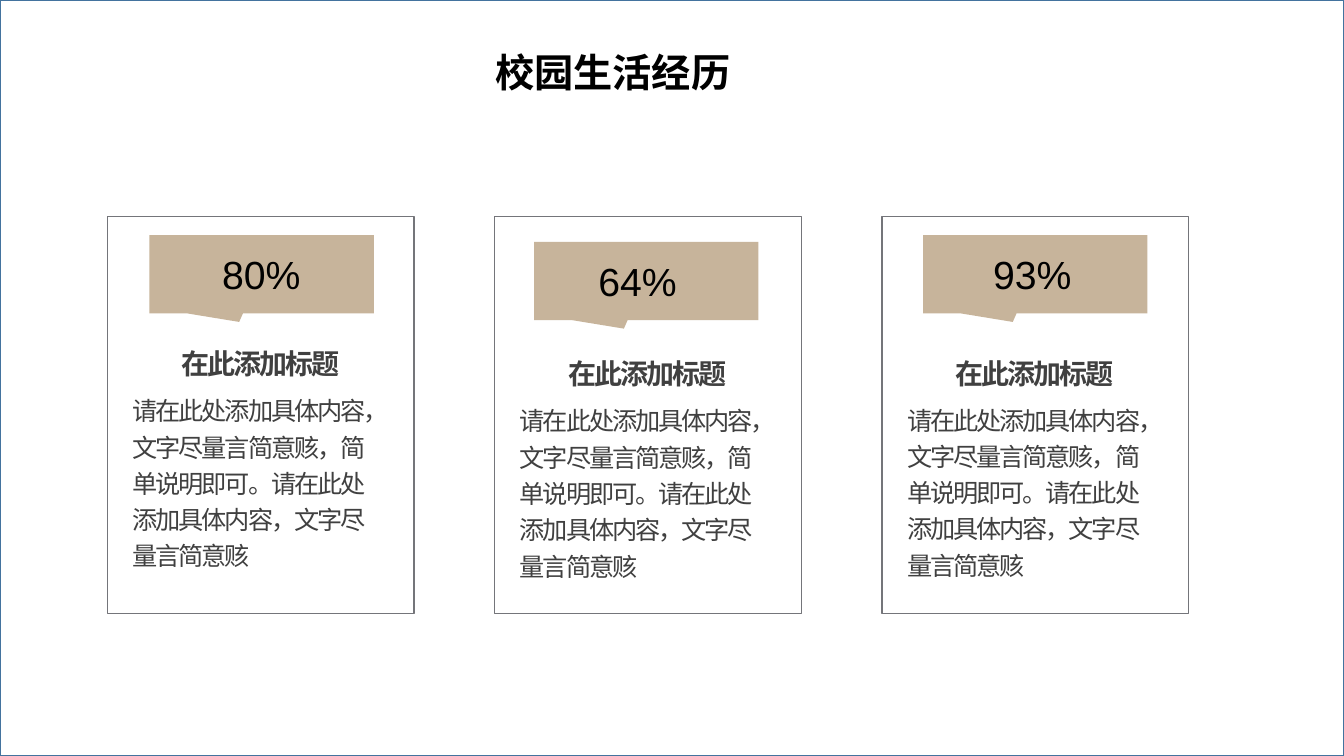
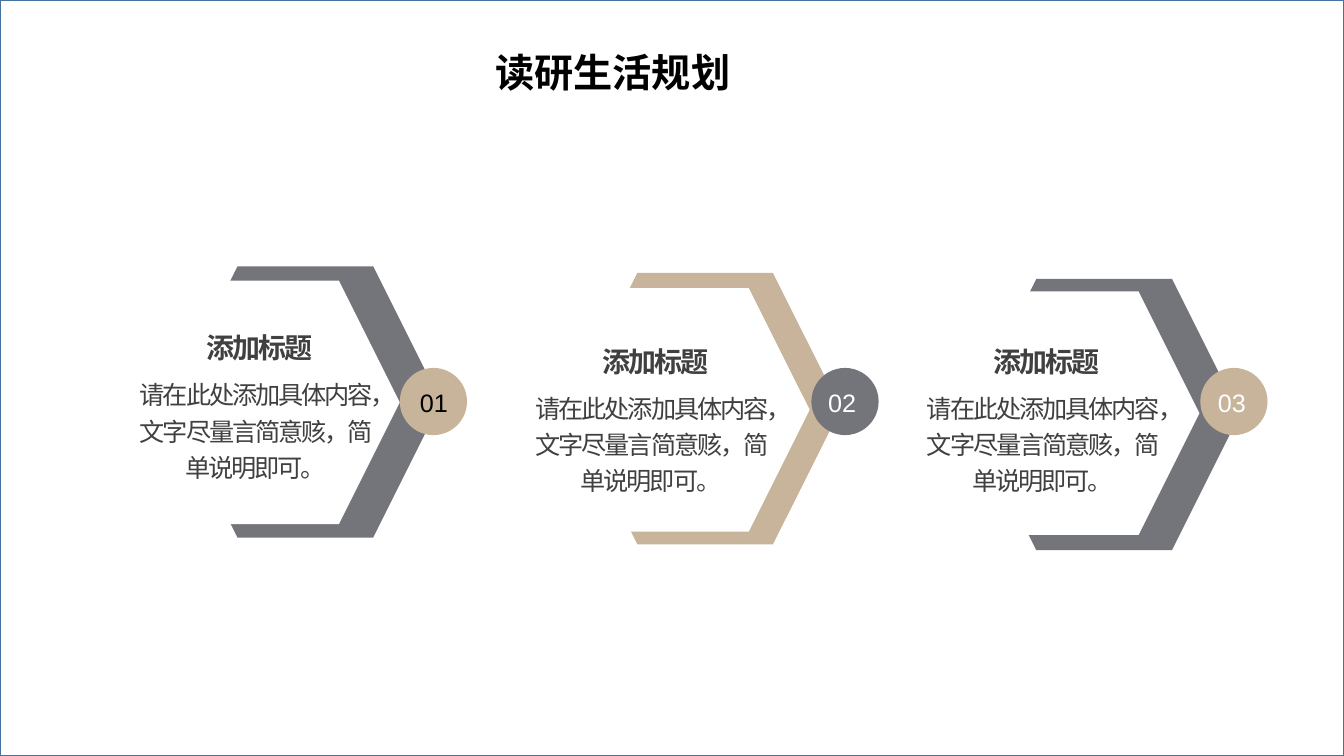
from lxml import etree
from pptx import Presentation
from pptx import util as u
from pptx.dml.color import RGBColor
from pptx.enum import shapes, text
from pptx.oxml import ns

WHITE = RGBColor(0xFF, 0xFF, 0xFF)
BLACK = RGBColor(0, 0, 0)
TEXT_GREY = RGBColor(0x40, 0x40, 0x40)
GREY = RGBColor(0x74, 0x75, 0x7A)
TAN = RGBColor(0xC7, 0xB4, 0x9B)
FRAME_BLUE = RGBColor(0x43, 0x73, 0x9E)

COLUMNS, ROWS = 160, 90
CELL = u.Inches(1) / 12
SHAPE = shapes.MSO_SHAPE
CENTER = {"alignment": text.PP_ALIGN.CENTER}

TITLE = {"size": u.Pt(28), "bold": True}
PERCENT = {"size": u.Pt(28)}
HEADING = {"size": u.Pt(20), "bold": True}
BODY = {"size": u.Pt(18)}

SHORT_TEXT = "请在此处添加具体内容，文字尽量言简意赅，简单说明即可。"
LONG_TEXT = SHORT_TEXT + "请在此处添加具体内容，文字尽量言简意赅"


class Deck:
    """Draw styled elements on the current slide, measured in grid columns and rows."""

    def __init__(self):
        self.presentation = Presentation()
        self.presentation.slide_width = round(COLUMNS * CELL)
        self.presentation.slide_height = round(ROWS * CELL)
        self.layout = self.presentation.slide_layouts[6]
        self.slide = None

    def page(self, title):
        first = self.slide is None
        self.slide = self.presentation.slides.add_slide(self.layout)
        if first:
            self.shared_frame()
        self.label(title, (57.8, 5.2, 30.8, 6.8), TITLE, wrap=False)

    def shared_frame(self):
        frame = self.shape(SHAPE.RECTANGLE, (0, 0, COLUMNS, ROWS), WHITE, FRAME_BLUE)
        color = frame.element.spPr.find(ns.qn("a:solidFill")).find(ns.qn("a:srgbClr"))
        etree.SubElement(color, ns.qn("a:alpha"), val="65000")
        self.layout.slide_master.element.cSld.spTree.insert(2, frame.element)

    def shape(self, kind, box, fill=None, line=None, adjustments=()):
        shape = self.slide.shapes.add_shape(kind, *(round(n * CELL) for n in box))
        shape.shadow.inherit = False
        for index, value in enumerate(adjustments):
            shape.adjustments[index] = value
        if fill is None:
            shape.fill.background()
        else:
            shape.fill.solid()
            shape.fill.fore_color.rgb = fill
        if line is None:
            shape.line.fill.background()
        else:
            shape.line.color.rgb = line
            shape.line.width = u.Pt(1)
        return shape

    def label(self, content, box, font, color=BLACK, layout=None, wrap=True, spacing=0):
        shape = self.slide.shapes.add_textbox(*(round(n * CELL) for n in box))
        frame = shape.text_frame
        frame.word_wrap = wrap
        frame.auto_size = text.MSO_AUTO_SIZE.SHAPE_TO_FIT_TEXT
        paragraph = frame.paragraphs[0]
        for name, value in (layout or {}).items():
            setattr(paragraph, name, value)
        run = paragraph.add_run()
        run.text = content
        for name, value in {"name": "Arial", **font}.items():
            setattr(run.font, name, value)
        run.font.color.rgb = color
        if spacing:
            run.font._element.set("spc", str(round(spacing * 100)))

    def entry(self, heading, body, left, top, height, layout=None):
        self.label(body, (left, top, 31.8, height), BODY, TEXT_GREY,
                   {"line_spacing": 1.2, **(layout or {})}, spacing=-1.5)
        self.label(heading, (left + 1.1, top - 7.1, 30.6, 6.6), HEADING, TEXT_GREY,
                   {"line_spacing": 1.5, **CENTER}, spacing=-1.5)

    def card(self, left):
        self.shape(SHAPE.ROUNDED_RECTANGLE, (left, 25.8, 36.5, 47.2), line=GREY,
                   adjustments=(0,))

    def callout(self, percent, left, top, percent_left):
        self.shape(SHAPE.RECTANGULAR_CALLOUT, (left, top, 26.7, 9.3), TAN,
                   adjustments=(-0.1, 0.61))
        self.label(percent, (percent_left, top + 1.2, 20, 6.8), PERCENT, layout=CENTER)

    def chevron(self, outer, inner, color):
        self.shape(SHAPE.HEXAGON, (*outer, 32.3, 32.3), color)
        self.shape(SHAPE.HEXAGON, (*inner, 29, 29), WHITE)

    def badge(self, number, left, number_left, fill, color):
        self.shape(SHAPE.OVAL, (left, 43.8, 8, 8), fill)
        self.label(number, (number_left, 45.5, 5.8, 4.8), BODY, color, wrap=False)


def experience(deck):
    deck.page("校园生活经历")
    cards = [
        ("80%", 17.8, 28, 21.1, 45.8),
        ("64%", 63.6, 28.8, 65.9, 47),
        ("93%", 109.9, 28, 112.9, 46.9),
    ]
    for index, (percent, left, top, percent_left, body_top) in enumerate(cards):
        card_left = 12.8 + 46.1 * index
        deck.card(card_left)
        deck.callout(percent, left, top, percent_left)
        deck.entry("在此添加标题", LONG_TEXT, card_left + 1.8, body_top, 23)


def plan(deck):
    deck.page("读研生活规划")
    steps = [
        ((20.2, 31.7), (18.6, 33.4), GREY, (47.6, 48.8), TAN, BLACK, (14.5, 43.9)),
        ((67.8, 32.5), (67.4, 34.3), TAN, (96.6, 97.4), GREY, WHITE, (61.6, 45.5)),
        ((115.3, 33.2), (113.8, 34.7), GREY, (142.9, 143.8), TAN, WHITE, (108.2, 45.5)),
    ]
    for number, step in enumerate(steps, 1):
        outer, inner, color, badge_lefts, badge_fill, number_color, body = step
        deck.chevron(outer, inner, color)
        deck.badge(f"{number:02}", *badge_lefts, badge_fill, number_color)
        deck.entry("添加标题", SHORT_TEXT, *body, 14.3, CENTER)


def main():
    deck = Deck()
    experience(deck)
    plan(deck)
    deck.presentation.save("out.pptx")


if __name__ == "__main__":
    main()
